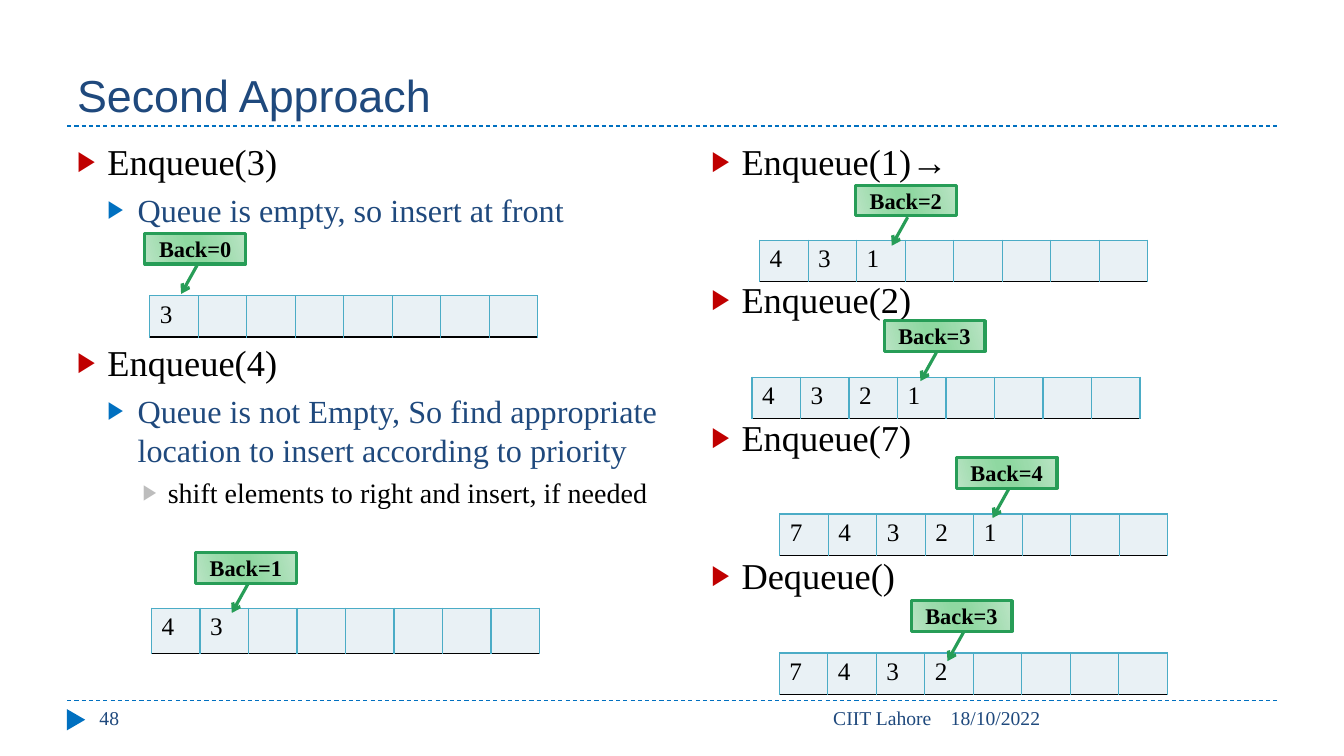
from pptx import Presentation
from pptx.dml.color import RGBColor
from pptx.enum.dml import MSO_LINE_DASH_STYLE as Dash
from pptx.enum.shapes import MSO_CONNECTOR as Connector, MSO_SHAPE as Shape
from pptx.enum.text import MSO_ANCHOR as Anchor, PP_ALIGN as Align
from pptx.oxml import parse_xml
from pptx.oxml.ns import nsdecls
from pptx.util import Pt

SERIF = "Times New Roman"
NAVY, BLUE, RED, GREY, BLACK = "1F497D", "0070C0", "C00000", "BDBDBD", "000000"
TEAL, CELL, GREEN = "4BACC6", "E9F1F5", "279D57"
SLOTS = 8
QUEUE_WIDTH = 277.2
CALLOUT_ADJUSTMENTS = (1.043, 0.482, 1.973, 0.64)
GRADIENT = {0: "BBE4C5", 30: "9BDBAB", 45: "8FD8A1",
            55: "8FD8A1", 73: "9BDBAB", 100: "BBE4C5"}

LEVELS = [
    dict(indent=21.6, hanging=21.6, bullet=RED, size=26, color=BLACK),
    dict(indent=43.2, hanging=21.6, bullet=BLUE, size=23, color=NAVY),
    dict(indent=64.8, hanging=18, bullet=GREY, size=20, color=BLACK),
]

LEFT_STEPS = [
    (0, 0, "Enqueue(3)"),
    (1, 5.7, "Queue is empty, so insert at front"),
    (0, 79.2, "Enqueue(4)"),
    (1, 5.6, "Queue is not Empty, So find appropriate location to insert "
             "according to priority"),
    (2, 5, "shift elements to right and insert, if needed"),
]
RIGHT_STEPS = [
    (0, 0, "Enqueue(1)→"),
    (0, 67.5, "Enqueue(2)"),
    (0, 67.5, "Enqueue(7)"),
    (0, 67.5, "Dequeue()"),
]

QUEUES = [
    ("3", (107, 211.3), 29.5, "Back=0", (103.5, 166.7)),
    ("43", (108.2, 434.4), 32.6, "Back=1", (139.7, 394.6)),
    ("431", (542.6, 171.6), 29.5, "Back=2", (611.1, 132.3)),
    ("4321", (537.2, 269.5), 29.5, "Back=3", (631.6, 229)),
    ("74321", (557, 367.2), 29.5, "Back=4", (683.1, 326.8)),
    ("7432", (556.7, 466.4), 29.5, "Back=3", (650.9, 429)),
]


def rgb(value):
    return RGBColor.from_string(value)


def element(markup):
    tag = markup[1:].replace("/", " ").replace(">", " ").split()[0]
    return parse_xml(markup.replace(tag, f"{tag} {nsdecls('a')}", 1))


def write(paragraph, text, size, color, name=SERIF, bold=False):
    run = paragraph.add_run()
    run.text = text
    for attribute, value in dict(name=name, size=Pt(size), bold=bold).items():
        setattr(run.font, attribute, value)
    run.font.color.rgb = rgb(color)


def add_frame(slide, left, top, width, height, **formats):
    frame = slide.shapes.add_textbox(Pt(left), Pt(top), Pt(width), Pt(height)).text_frame
    for attribute, value in {"word_wrap": True, **formats}.items():
        setattr(frame, attribute, value)
    return frame


def add_label(slide, text, box, size=14, name=SERIF, align=Align.LEFT, anchor=Anchor.TOP):
    frame = add_frame(slide, *box, vertical_anchor=anchor)
    frame.paragraphs[0].alignment = align
    write(frame.paragraphs[0], text, size, NAVY, name)


def add_steps(slide, steps, box):
    frame = add_frame(slide, *box, margin_top=Pt(3))
    for position, (depth, gap, text) in enumerate(steps):
        level = LEVELS[depth]
        paragraph = frame.add_paragraph() if position else frame.paragraphs[0]
        properties = paragraph._p.get_or_add_pPr()
        properties.set("marL", str(Pt(level["indent"])))
        properties.set("indent", str(-Pt(level["hanging"])))
        for markup in (f'<a:buClr><a:srgbClr val="{level["bullet"]}"/></a:buClr>',
                       '<a:buSzPct val="76000"/>',
                       '<a:buFont typeface="Arial"/>',
                       '<a:buChar char="▶"/>'):
            properties.append(element(markup))
        paragraph.level = depth
        if gap:
            paragraph.space_before = Pt(gap)
        write(paragraph, text, level["size"], level["color"])


def add_rule(slide, top):
    rule = slide.shapes.add_connector(Connector.STRAIGHT, Pt(48), Pt(top), Pt(912), Pt(top))
    for attribute, value in dict(width=Pt(0.75), dash_style=Dash.DASH).items():
        setattr(rule.line, attribute, value)
    rule.line.color.rgb = rgb(BLUE)
    rule._element.spPr.append(element("<a:effectLst/>"))


def add_page_marker(slide):
    marker = slide.shapes.add_shape(
        Shape.ISOSCELES_TRIANGLE, Pt(46.8), Pt(507.6), Pt(15.1), Pt(13))
    marker.rotation = 90
    marker.shadow.inherit = False
    marker.fill.solid()
    marker.fill.fore_color.rgb = rgb(BLUE)
    marker.line.fill.background()


def add_queue(slide, values, place, height):
    left, top = place
    table = slide.shapes.add_table(
        1, SLOTS, Pt(left), Pt(top), Pt(QUEUE_WIDTH), Pt(height)).table
    table.first_row = table.horz_banding = False
    for slot in range(SLOTS):
        table.columns[slot].width = Pt(QUEUE_WIDTH / SLOTS)
        cell = table.cell(0, slot)
        if slot < len(values):
            write(cell.text_frame.paragraphs[0], values[slot], 18, BLACK)
        properties = cell._tc.get_or_add_tcPr()
        for side, color in dict(L=TEAL, R=TEAL, T=TEAL, B=BLACK).items():
            properties.append(element(
                f'<a:ln{side} w="{Pt(1)}"><a:solidFill><a:srgbClr val="{color}"/>'
                f'</a:solidFill></a:ln{side}>'))
        cell.fill.solid()
        cell.fill.fore_color.rgb = rgb(CELL)


def add_back_callout(slide, text, place):
    left, top = place
    callout = slide.shapes.add_shape(
        Shape.LINE_CALLOUT_1, Pt(left), Pt(top), Pt(72), Pt(21.9))
    for position, value in enumerate(CALLOUT_ADJUSTMENTS):
        callout.adjustments[position] = value
    callout.shadow.inherit = False
    properties = callout._element.spPr
    properties.xfrm.set("flipH", "1")
    stops = "".join(f'<a:gs pos="{stop * 1000}"><a:srgbClr val="{color}"/></a:gs>'
                    for stop, color in GRADIENT.items())
    properties.prstGeom.addnext(element(
        f'<a:gradFill><a:gsLst>{stops}</a:gsLst><a:lin ang="960000" scaled="0"/></a:gradFill>'))
    callout.line.color.rgb = rgb(GREEN)
    callout.line.width = Pt(2.25)
    properties.get_or_add_ln().append(element('<a:tailEnd type="arrow"/>'))
    frame = callout.text_frame
    frame.vertical_anchor = Anchor.MIDDLE
    frame.paragraphs[0].alignment = Align.CENTER
    write(frame.paragraphs[0], text, 16, BLACK, bold=True)


def main():
    deck = Presentation()
    deck.slide_width, deck.slide_height = Pt(960), Pt(540)
    slide = deck.slides.add_slide(deck.slide_layouts[6])
    for top in (500.4, 90):
        add_rule(slide, top)
    add_page_marker(slide)
    add_label(slide, "Second Approach", (48, 12, 864, 78), 32, "Arial", anchor=Anchor.BOTTOM)
    add_label(slide, "18/10/2022", (672, 500.4, 240, 28.8))
    add_label(slide, "CIIT Lahore", (304.6, 500.4, 367.9, 28.8), align=Align.RIGHT)
    add_label(slide, "48", (64, 500.4, 208, 28.8))
    add_steps(slide, LEFT_STEPS, (48, 96, 431, 389))
    add_steps(slide, RIGHT_STEPS, (501, 96, 410.4, 389))
    for values, queue_place, height, back, callout_place in QUEUES:
        add_queue(slide, values, queue_place, height)
        add_back_callout(slide, back, callout_place)
    deck.save("out.pptx")


if __name__ == "__main__":
    main()
